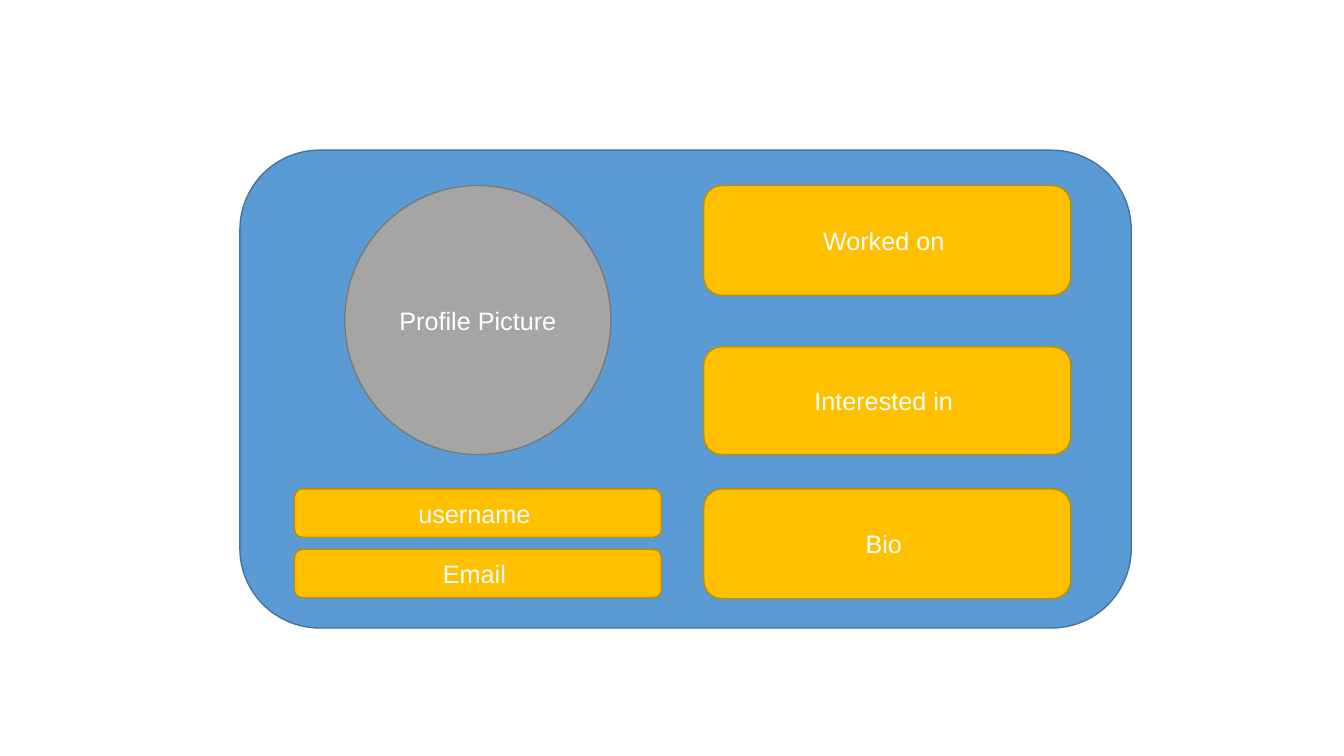
from pptx import Presentation
from pptx.dml.color import RGBColor
from pptx.enum.shapes import MSO_SHAPE as SHAPE
from pptx.enum.text import MSO_ANCHOR as ANCHOR, PP_ALIGN as ALIGN
from pptx.util import Inches, Pt

BLUE, BLUE_LINE = "5B9BD5", "43739E"
GRAY, GRAY_LINE = "A5A5A5", "7A7A7A"
GOLD, GOLD_LINE = "FFC000", "BD8E00"
FIELD_W = 3.64


def color(value):
    return RGBColor.from_string(value)


def write(sp, text, size=18, font="Arial", fill="FFFFFF", align=ALIGN.CENTER):
    tf = sp.text_frame
    tf.word_wrap = True
    tf.vertical_anchor = ANCHOR.MIDDLE
    p = tf.paragraphs[0]
    p.alignment = align
    r = p.add_run()
    r.text = text
    r.font.size = Pt(size)
    r.font.name = font
    r.font.color.rgb = color(fill)


def add_box(s, kind, box, fill, line, text=None):
    sp = s.shapes.add_shape(kind, *[Inches(v) for v in box])
    sp.shadow.inherit = False
    sp.fill.solid()
    sp.fill.fore_color.rgb = color(fill)
    sp.line.color.rgb = color(line)
    sp.line.width = Pt(1)
    if text:
        write(sp, text)
    return sp


def add_field(s, box, text):
    add_box(s, SHAPE.ROUNDED_RECTANGLE, box, GOLD, GOLD_LINE, text)


def add_identity(s, x, y):
    add_box(s, SHAPE.OVAL, (x + 0.5, y, 2.64, 2.67), GRAY, GRAY_LINE,
            "Profile Picture")
    for i, text in enumerate(["username ", "Email "]):
        add_field(s, (x, y + 3.01 + 0.6 * i, FIELD_W, 0.48), text)


def add_details(s, x, y):
    for text, top, h in [("Worked on ", 0, 1.09),
                         ("Interested in ", 1.6, 1.07),
                         ("Bio ", 3.01, 1.09)]:
        add_field(s, (x, y + top, FIELD_W, h), text)


def add_profile_card(s, x, y, w, h):
    add_box(s, SHAPE.ROUNDED_RECTANGLE, (x, y, w, h), BLUE, BLUE_LINE)
    add_identity(s, x + 0.54, y + 0.35)
    add_details(s, x + 4.6, y + 0.35)


def main():
    prs = Presentation()
    prs.slide_width, prs.slide_height = Inches(13.33), Inches(7.5)
    s = prs.slides.add_slide(prs.slide_layouts[6])
    add_profile_card(s, 2.38, 1.49, 8.84, 4.74)
    prs.save("out.pptx")


if __name__ == "__main__":
    main()
